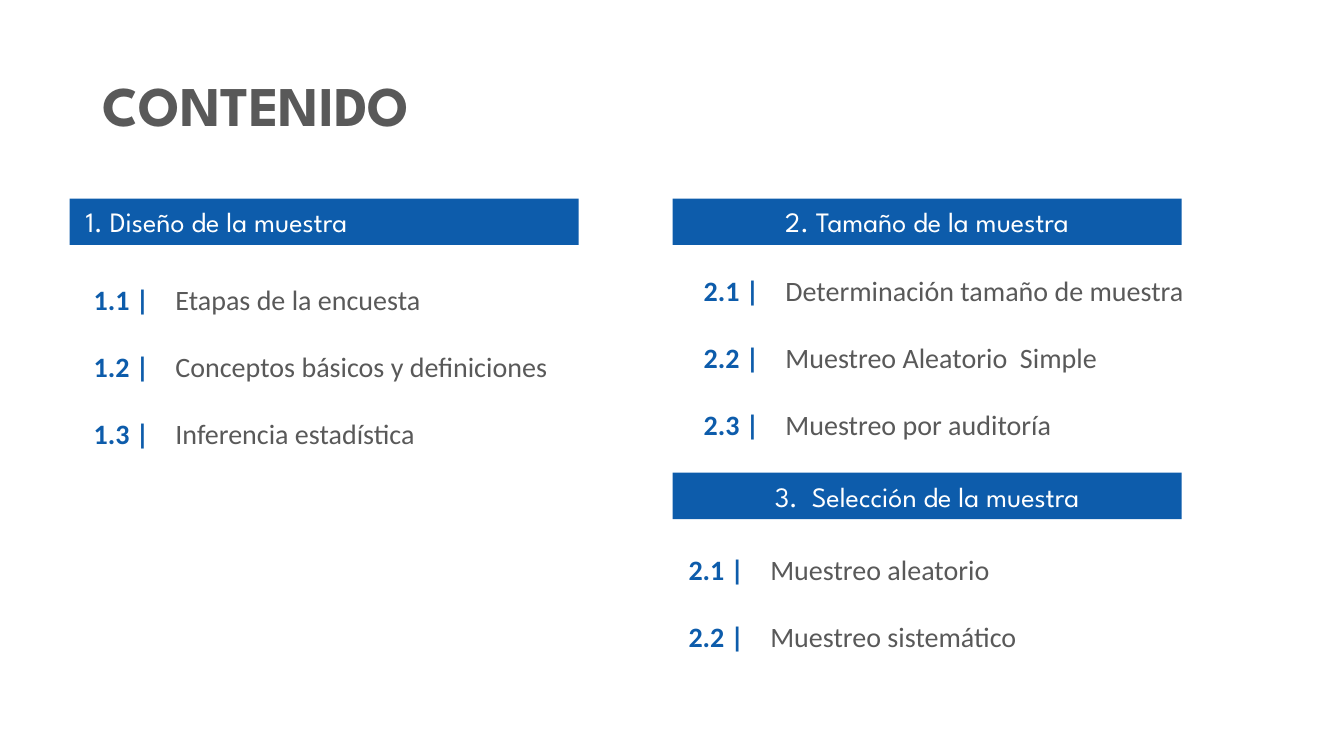
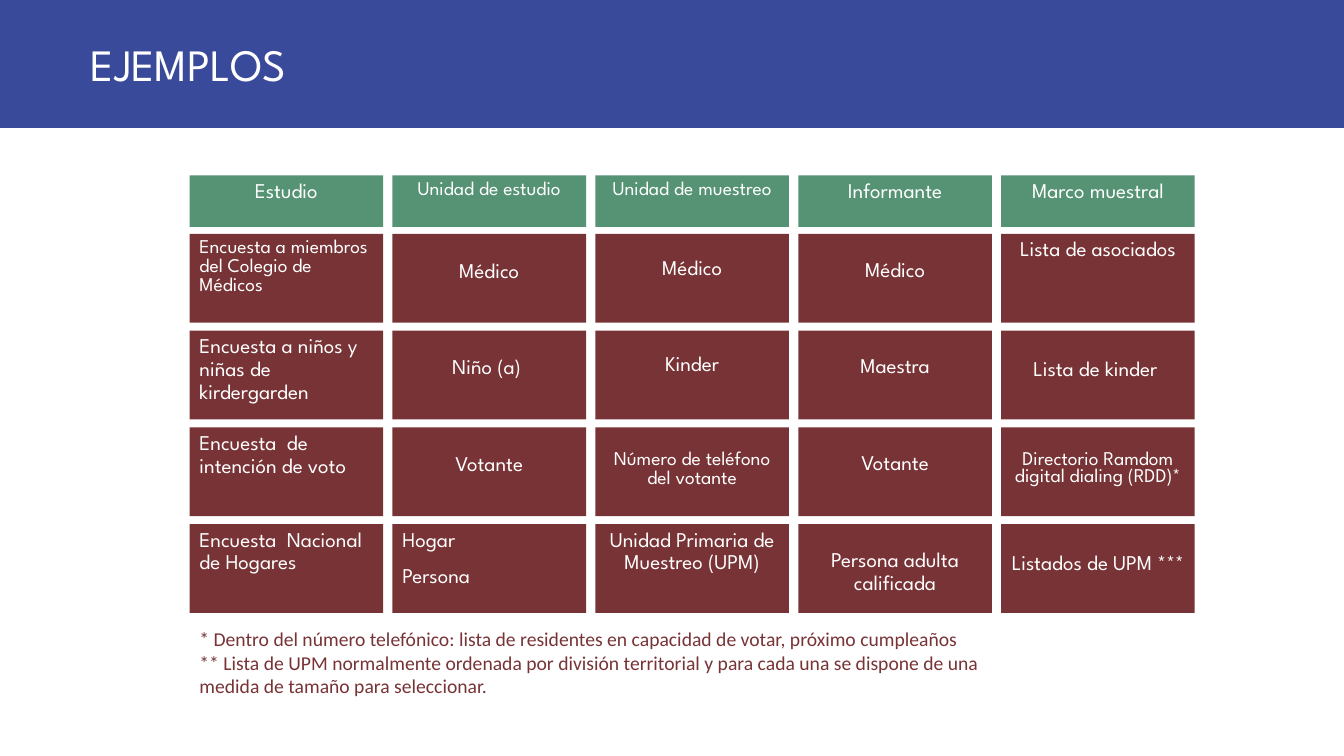
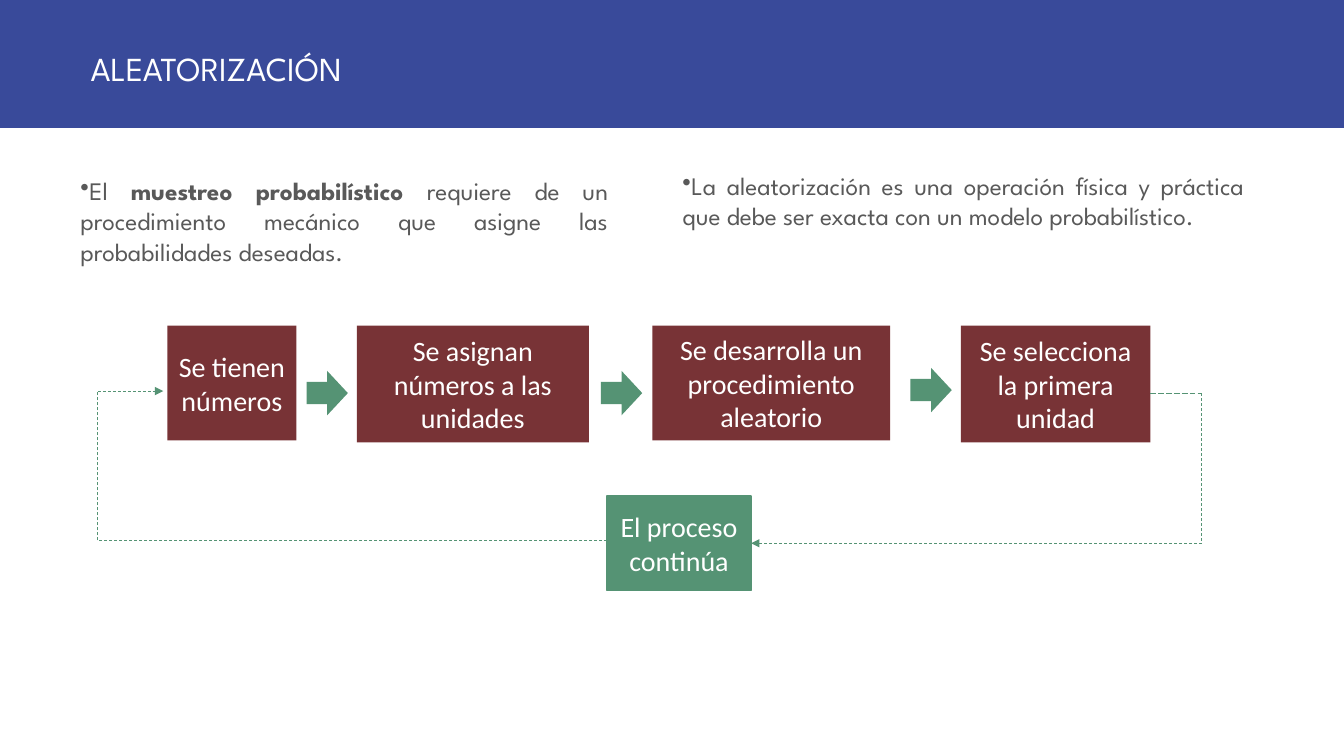
from itertools import pairwise

from lxml.etree import SubElement as Sub
from pptx import Presentation
from pptx.dml.color import RGBColor as Rgb
from pptx.enum.dml import MSO_LINE as Dash
from pptx.enum.shapes import MSO_CONNECTOR as Conn, MSO_SHAPE as Geo
from pptx.enum.text import MSO_ANCHOR as Anchor, PP_ALIGN as Align
from pptx.oxml.ns import qn
from pptx.util import Inches, Pt

HUE = {"blue": "0D5CAB", "navy": "394A9A", "green": "559374",
       "wine": "783336", "gray": "595959", "white": "FFFFFF"}
HEAD, BODY = "League Spartan", "Calibri"
WIDE, TALL = 13.33, 7.5


def rgb(name):
    """Return the named colour."""
    return Rgb.from_string(HUE[name])


def put(item, **vals):
    """Set attributes of an item from format values."""
    for key, val in vals.items():
        setattr(item, key, val)


def fill_text(frame, paras, size, face, hue, align=Align.LEFT, bold=False,
              line=None, gap=0, dot=False, anchor=Anchor.MIDDLE, pads=None):
    """Write paragraphs, each a string or a list of (text, bold) runs."""
    put(frame, word_wrap=True, vertical_anchor=anchor)
    for side, pad in (pads or {}).items():
        put(frame, **{"margin_" + side: Inches(pad)})
    for num, runs in enumerate(paras):
        para = frame.add_paragraph() if num else frame.paragraphs[0]
        put(para, alignment=align, line_spacing=line)
        if num and gap:
            para.space_before = Pt(gap)
        if dot:
            props = para._p.get_or_add_pPr()
            put_xml = {"marL": "0", "indent": "0"}
            for key, val in put_xml.items():
                props.set(key, val)
            Sub(props, qn("a:buChar"), char="•")
        for text, heavy in [(runs, bold)] if isinstance(runs, str) else runs:
            run = para.add_run()
            run.text = text
            put(run.font, name=face, size=Pt(size), bold=heavy)
            run.font.color.rgb = rgb(hue)


def add_box(slide, box, hue, geo=Geo.RECTANGLE, edge=None):
    """Add a flat filled shape."""
    shape = slide.shapes.add_shape(geo, *map(Inches, box))
    shape.shadow.inherit = False
    shape.fill.solid()
    shape.fill.fore_color.rgb = rgb(hue)
    if edge:
        shape.line.color.rgb = rgb(hue)
        shape.line.width = Pt(edge)
    else:
        shape.line.fill.background()
    return shape


def add_text(slide, box, paras, *args, **opts):
    """Add a wrapped text box."""
    frame = slide.shapes.add_textbox(*map(Inches, box)).text_frame
    fill_text(frame, paras, *args, **opts)


def add_band(slide, text, size):
    """Add the title band across the top."""
    band = add_box(slide, (0, 0, WIDE, 1.27), "navy")
    fill_text(band.text_frame, [text], size, HEAD, "white",
              pads={"left": 0.9, "top": 0.05 + (32 - size) / 100})


def add_topic(slide, box, text, **opts):
    """Add the heading bar of a topic."""
    bar = add_box(slide, box, "blue")
    fill_text(bar.text_frame, [text], 20, HEAD, "white", **opts)


def add_index(slide, box, first, rows):
    """Add a table of numbered items, the number column first inches wide."""
    grid = slide.shapes.add_table(len(rows), 2, *map(Inches, box)).table
    put(grid, first_row=False, horz_banding=False)
    for col, width in zip(grid.columns, (first, box[2] - first)):
        col.width = Inches(width)
    looks = (("blue", Align.RIGHT, True), ("gray", Align.LEFT, False))
    for r, row in enumerate(rows):
        for c, (text, (hue, align, bold)) in enumerate(zip(row, looks)):
            cell = grid.cell(r, c)
            cell.fill.background()
            put(cell, vertical_anchor=Anchor.MIDDLE,
                margin_left=Inches(0.13), margin_right=Inches(0.13))
            fill_text(cell.text_frame, [text], 20, BODY, hue, align, bold)


def add_grid(slide, box, heads, rows):
    """Add a header row and cells of (paragraphs, top pad, line, align)."""
    left, top, width, height = box
    cell_w, head_h, cell_h = 1.92, 0.51, 0.88
    step = (width - cell_w) / (len(heads) - 1)
    first = top + 0.58
    pitch = (top + height - cell_h - first) / (len(rows) - 1)
    table = [("green", top, head_h, heads)]
    table += [("wine", first + pitch * r, cell_h, row) for r, row in enumerate(rows)]
    for hue, y, tall, row in table:
        for c, (paras, pad, line, align) in enumerate(row):
            cell = add_box(slide, (left + step * c, y, cell_w, tall), hue)
            fill_text(cell.text_frame, paras, 15 if line == 0.9 else 13.9,
                      HEAD, "white", align, line=line, gap=10,
                      anchor=Anchor.TOP, pads={"top": 0.05 + pad})


def mid(text, pad=0, line=0.9):
    """Describe a centred cell."""
    return [text], pad, line, Align.CENTER


def side(*paras, line=0.9):
    """Describe a left-aligned cell."""
    return paras, 0, line, Align.LEFT


def add_step(slide, box, text, hue="wine", edge=None):
    """Add one step of the process."""
    step = add_box(slide, box, hue, edge=edge)
    fill_text(step.text_frame, [text], 20, BODY, "white", Align.CENTER)
    return step


def add_route(slide, points, dashes, head):
    """Add dashed lines through points and return the last one."""
    for (start, end), dash in zip(pairwise(points), dashes):
        link = slide.shapes.add_connector(
            Conn.STRAIGHT, *map(Inches, (*start, *end)))
        link.line.color.rgb = rgb("green")
        put(link.line, width=Pt(0.5), dash_style=dash)
        Sub(link._element.spPr, qn("a:effectLst"))
    if head:
        Sub(link.line._get_or_add_ln(), qn("a:tailEnd"), type="triangle")
    return link


def add_flow(slide, box):
    """Add the steps, the arrows between them and the loop back."""
    x, y = box
    steps = ((0, 1.28, 1.14, "Se tienen números"),
             (1.88, 2.3, 1.16, "Se asignan números a las unidades"),
             (4.81, 2.36, 1.14, "Se desarrolla un procedimiento aleatorio"),
             (7.87, 1.88, 1.16, "Se selecciona la primera unidad"))
    for dx, wide, tall, text in steps:
        add_step(slide, (x + dx, y, wide, tall), text)
    for dx, dy in ((1.38, 0.45), (4.3, 0.45), (7.37, 0.42)):
        add_box(slide, (x + dx, y + dy, 0.41, 0.44), "green", Geo.RIGHT_ARROW)
    last = add_step(slide, (x + 4.36, y + 1.69, 1.43, 0.94),
                    "El proceso continúa", "green", 1)
    out = ((9.75, 0.67), (10.26, 0.67), (10.26, 2.16), (5.79, 2.16))
    back = ((4.36, 2.13), (-0.69, 2.13), (-0.69, 0.65), (-0.04, 0.65))
    out, back = ([(x + dx, y + dy) for dx, dy in way] for way in (out, back))
    link = add_route(slide, out, (Dash.LONG_DASH, Dash.DASH, Dash.DASH), True)
    link.end_connect(last, 3)
    add_route(slide, back, (Dash.DASH,) * 3, True)


def show_index(slide):
    """Build the contents slide."""
    add_text(slide, (0.92, 0.35, 11.5, 1.45), ["CONTENIDO"], 40, HEAD, "gray",
             bold=True, line=0.9)
    add_topic(slide, (0.69, 1.97, 5.05, 0.46), "1. Diseño de la muestra",
              pads={"left": 0.16})
    for y, text in ((1.97, "2. Tamaño de la muestra"),
                    (4.69, "3.  Selección de la muestra")):
        add_topic(slide, (6.67, y, 5.05, 0.46), text, align=Align.CENTER)
    add_index(slide, (0.69, 2.65, 5.05, 2), 0.92,
              (("1.1 |", "Etapas de la encuesta"),
               ("1.2 |", "Conceptos básicos y definiciones"),
               ("1.3 |", "Inferencia estadística")))
    add_index(slide, (6.59, 2.56, 5.83, 2), 1.07,
              (("2.1 |", "Determinación tamaño de muestra"),
               ("2.2 |", "Muestreo Aleatorio  Simple"),
               ("2.3 |", "Muestreo por auditoría")))
    add_index(slide, (6.59, 5.33, 5.05, 1.33), 0.92,
              (("2.1 |", "Muestreo aleatorio"),
               ("2.2 |", "Muestreo sistemático")))


def show_cases(slide):
    """Build the slide of survey examples."""
    add_band(slide, "EJEMPLOS", 32)
    heads = (mid("Estudio"), mid("Unidad de estudio", line=0.8),
             mid("Unidad de muestreo", line=0.8), mid("Informante"),
             mid("Marco muestral"))
    rows = ((side("Encuesta a miembros del Colegio de Médicos", line=0.8),
             mid("Médico", 0.21), mid("Médico", 0.18), mid("Médico", 0.2),
             mid("Lista de asociados")),
            (side("Encuesta a niños y niñas de kirdergarden"),
             mid("Niño (a) ", 0.21), mid("Kinder", 0.18),
             mid("Maestra", 0.2), mid("Lista de kinder ", 0.23)),
            (side("Encuesta  de intención de voto"), mid("Votante", 0.21),
             mid("Número de teléfono del votante", 0.18, 0.8),
             mid("Votante", 0.2),
             mid("Directorio Ramdom digital dialing (RDD)*", 0.2, 0.7)),
            (side("Encuesta  Nacional de Hogares"), side("Hogar", "Persona"),
             mid("Unidad Primaria de Muestreo (UPM)"),
             mid("Persona adulta calificada", 0.2),
             mid("Listados de UPM ***", 0.23)))
    add_grid(slide, (1.88, 1.74, 9.97, 4.34), heads, rows)
    add_text(slide, (1.88, 6.17, 8.47, 0.81),
             ["* Dentro del número telefónico: lista de residentes en capacidad "
              "de votar, próximo cumpleaños",
              "** Lista de UPM normalmente ordenada por división territorial y "
              "para cada una se dispone de una medida de tamaño para seleccionar."],
             14, BODY, "wine", anchor=Anchor.TOP)


def show_flow(slide):
    """Build the slide of the random process."""
    add_band(slide, "ALEATORIZACIÓN", 24)
    notes = (((0.7, 1.69, 5.43, 1.31),
              [("El ", False), ("muestreo probabilístico ", True),
               ("requiere de un procedimiento mecánico que asigne las "
                "probabilidades deseadas.", False)]),
             ((6.67, 1.64, 5.77, 1.01),
              "La aleatorización es una operación física y práctica que debe "
              "ser exacta con un modelo probabilístico."))
    for box, text in notes:
        add_text(slide, box, [text], 18, HEAD, "gray", Align.JUSTIFY,
                 dot=True, anchor=Anchor.TOP)
    add_flow(slide, (1.66, 3.23))


def main():
    """Build and save the slides."""
    deck = Presentation()
    put(deck, slide_width=Inches(WIDE), slide_height=Inches(TALL))
    for show in (show_index, show_cases, show_flow):
        show(deck.slides.add_slide(deck.slide_layouts[6]))
    deck.save("out.pptx")


if __name__ == "__main__":
    main()
